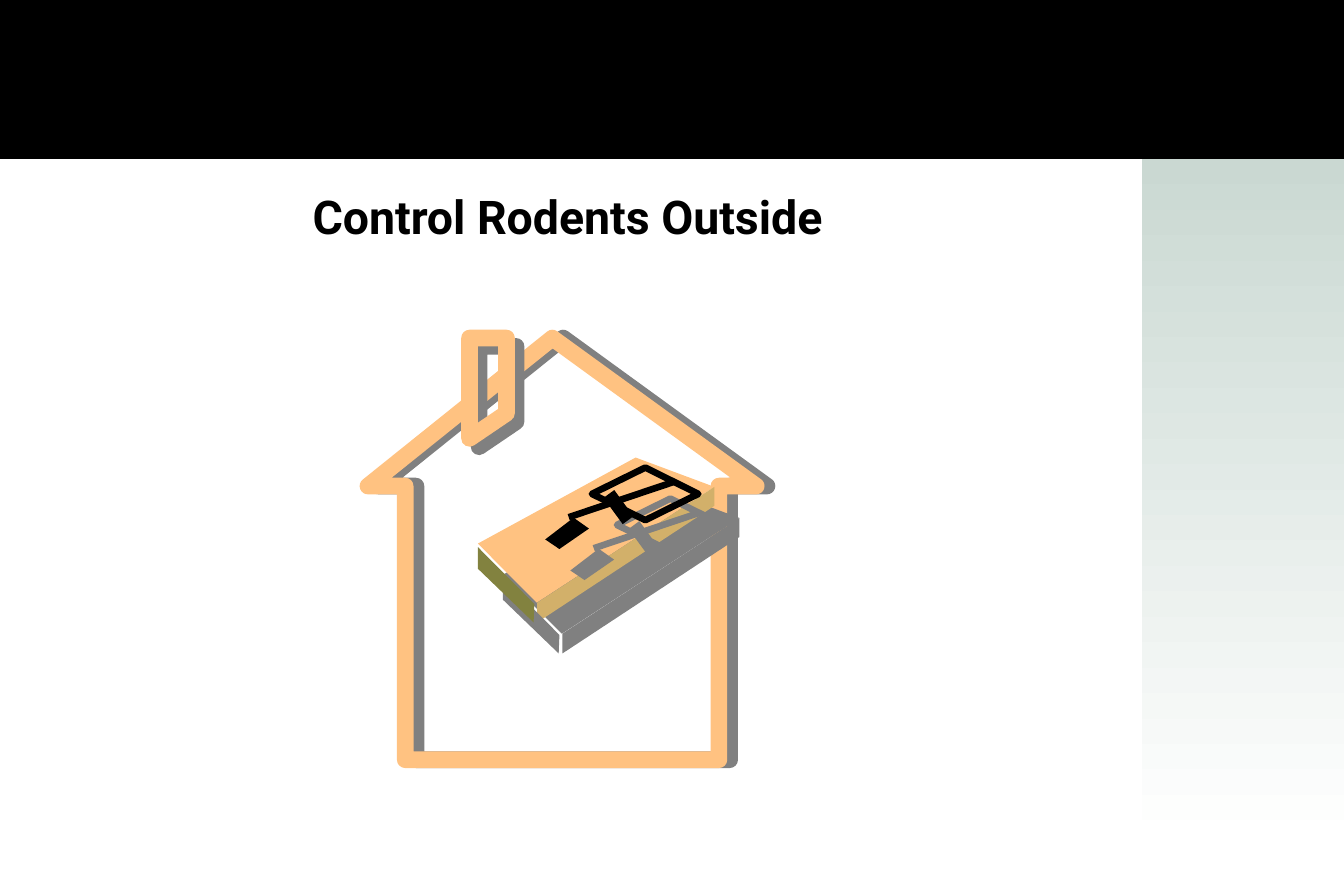
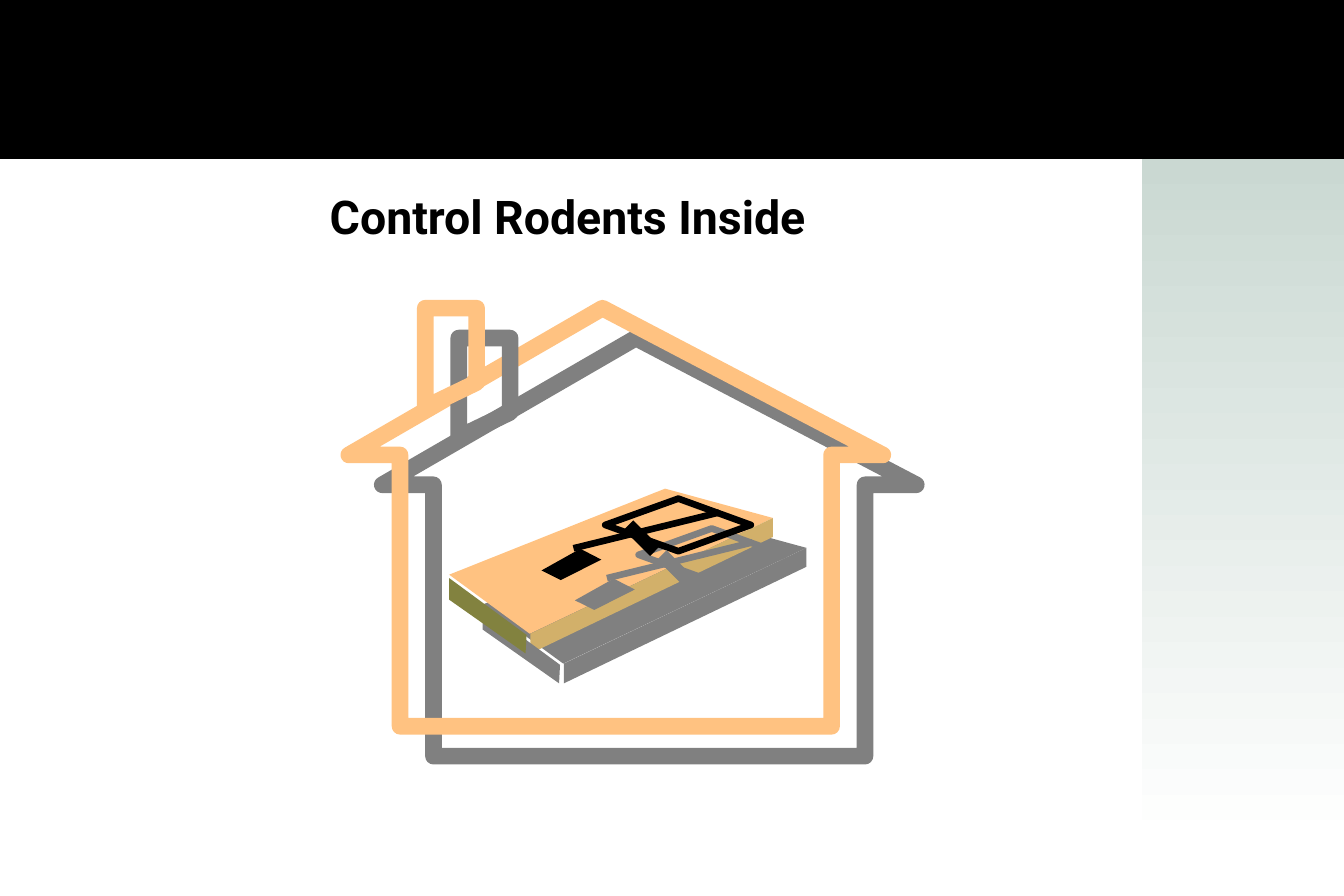
from dataclasses import dataclass
from lxml import etree
from pptx import Presentation
from pptx.dml.color import RGBColor
from pptx.enum import shapes, text
from pptx.oxml.ns import qn
from pptx.util import Inches, Pt


@dataclass(frozen=True)
class Theme:
    black: RGBColor = RGBColor.from_string("000000")
    white: RGBColor = RGBColor.from_string("FFFFFF")
    sage: RGBColor = RGBColor.from_string("CAD8D2")
    shade: RGBColor = RGBColor.from_string("808080")
    peach: RGBColor = RGBColor.from_string("FFC281")
    tan: RGBColor = RGBColor.from_string("D2B06A")
    olive: RGBColor = RGBColor.from_string("82823F")
    font: str = "Roboto"
    title_size: int = 28
    wall_width: int = 10
    wire_width: int = 4
    hinge_width: int = 8


@dataclass(frozen=True)
class Box:
    left: float
    top: float
    width: float
    height: float

    def at(self, point):
        x, y = point
        return (Inches(self.left + self.width * x / 100),
                Inches(self.top + self.height * y / 100))

    def shifted(self, offset):
        dx, dy = offset
        return Box(self.left + dx, self.top + dy, self.width, self.height)

    def inches(self):
        return [Inches(v) for v in (self.left, self.top, self.width, self.height)]


THEME = Theme()
WIDTH, HEIGHT = 11.25, 7.5
HEADER = Box(0, 0, WIDTH, 1.33)
SIDEBAR = Box(9.56, 1.33, 1.69, 5.75)
TITLE = Box(0, 1.42, 9.5, 0.67)

HOUSE = [(47.5, 0), (0, 35.1), (9.6, 35.1), (9.6, 100),
         (90.4, 100), (90.4, 35.1), (100, 35.1)]
CHIMNEY = [(0, 100), (0, 0), (100, 0), (100, 75)]

BOARD_TOP = [(24.9, 88), (100, 17.8), (66.7, 0), (0, 52.2)]
BOARD_FRONT = [(25.1, 88), (25.1, 100), (100, 29.3), (100, 17.8)]
BOARD_SIDE = [(23.9, 88.8), (23.6, 100), (0, 67.4), (0, 54.3)]
WIRE = [(70.8, 6.1), (48.2, 22.1), (70.8, 38), (93.2, 22.1)]
HINGE = [(55.4, 22.1), (63.5, 38)]
BAIT = [(28.5, 49.7), (34.5, 55.5), (47, 43.1), (40.5, 36.5)]
ARM = [(83.4, 14.5), (38.4, 36.2)]


def draw_outline(parent, box, points, color, width=None):
    start, *rest = [box.at(p) for p in points]
    builder = parent.build_freeform(*start)
    builder.add_line_segments(rest, close=True)
    sp = builder.convert_to_shape()
    sp.shadow.inherit = False
    if width is None:
        sp.fill.solid()
        sp.fill.fore_color.rgb = color
        sp.line.fill.background()
    else:
        sp.fill.background()
        sp.line.color.rgb = color
        sp.line.width = Pt(width)
        etree.SubElement(sp.element.spPr.find(qn("a:ln")), qn("a:round"))


def draw_rod(parent, box, points, color, width):
    start, end = [box.at(p) for p in points]
    rod = parent.add_connector(shapes.MSO_CONNECTOR.STRAIGHT, *start, *end)
    rod.line.color.rgb = color
    rod.line.width = Pt(width)
    etree.SubElement(rod.element.spPr, qn("a:effectLst"))


def draw_with_shade(draw, parent, box, offset, points, color, width=None):
    draw(parent, box.shifted(offset), points, THEME.shade, width)
    draw(parent, box, points, color, width)


def add_house(s, walls, wall_offset, chimney, chimney_offset):
    for box, offset, points in ((walls, wall_offset, HOUSE),
                                (chimney, chimney_offset, CHIMNEY)):
        draw_with_shade(draw_outline, s.shapes, box, offset, points,
                        THEME.peach, THEME.wall_width)


def add_trap(s, box, offset):
    parts = [
        (draw_outline, BOARD_TOP, THEME.peach, None),
        (draw_outline, BOARD_FRONT, THEME.tan, None),
        (draw_outline, BOARD_SIDE, THEME.olive, None),
        (draw_outline, WIRE, THEME.black, THEME.wire_width),
        (draw_rod, HINGE, THEME.black, THEME.hinge_width),
        (draw_outline, BAIT, THEME.black, None),
        (draw_rod, ARM, THEME.black, THEME.wire_width),
    ]
    group = s.shapes.add_group_shape()
    for draw, points, color, width in parts:
        draw_with_shade(draw, group.shapes, box, offset, points, color, width)


def add_title(s, box, wording):
    title = s.shapes.title
    title.left, title.top, title.width, title.height = box.inches()
    tf = title.text_frame
    tf.word_wrap = True
    tf.auto_size = text.MSO_AUTO_SIZE.NONE
    tf.vertical_anchor = text.MSO_ANCHOR.BOTTOM
    p = tf.paragraphs[0]
    p.alignment = text.PP_ALIGN.CENTER
    r = p.add_run()
    r.text = wording
    r.font.name = THEME.font
    r.font.size = Pt(THEME.title_size)
    r.font.bold = True
    r.font.color.rgb = THEME.black


def add_band(s, box):
    sp = s.shapes.add_shape(shapes.MSO_SHAPE.RECTANGLE, *box.inches())
    sp.shadow.inherit = False
    sp.line.fill.background()
    return sp


def add_master_bands(prs, s):
    header = add_band(s, HEADER)
    header.fill.solid()
    header.fill.fore_color.rgb = THEME.black
    sidebar = add_band(s, SIDEBAR)
    sidebar.fill.gradient()
    sidebar.fill.gradient_angle = 270
    stops = sidebar.fill.gradient_stops
    for stop, position, color in zip(stops, (0, 1), (THEME.sage, THEME.white)):
        stop.position = position
        stop.color.rgb = color
    tree = prs.slide_master.shapes.element
    for i, sp in enumerate((header, sidebar)):
        sp.element.nvSpPr.cNvPr.set("id", str(100 + i))
        tree.insert(2 + i, sp.element)


def add_rodent_slide(prs, wording, house, trap):
    s = prs.slides.add_slide(prs.slide_layouts[5])
    add_house(s, *house)
    add_trap(s, *trap)
    add_title(s, TITLE, wording)
    return s


def main():
    prs = Presentation()
    prs.slide_width, prs.slide_height = Inches(WIDTH), Inches(HEIGHT)
    outside = add_rodent_slide(
        prs, "Control Rodents Outside",
        (Box(3.08, 2.83, 3.25, 3.53), (0.09, 0),
         Box(3.93, 2.83, 0.31, 0.84), (0.08, 0.07)),
        (Box(4, 3.83, 1.98, 1.38), (0.21, 0.26)))
    add_rodent_slide(
        prs, "Control Rodents Inside",
        (Box(2.92, 2.58, 4.47, 3.5), (0.28, 0.25),
         Box(3.56, 2.58, 0.43, 0.83), (0.28, 0.25)),
        (Box(3.76, 4.09, 2.71, 1.38), (0.28, 0.25)))
    add_master_bands(prs, outside)
    prs.save("out.pptx")


if __name__ == "__main__":
    main()
